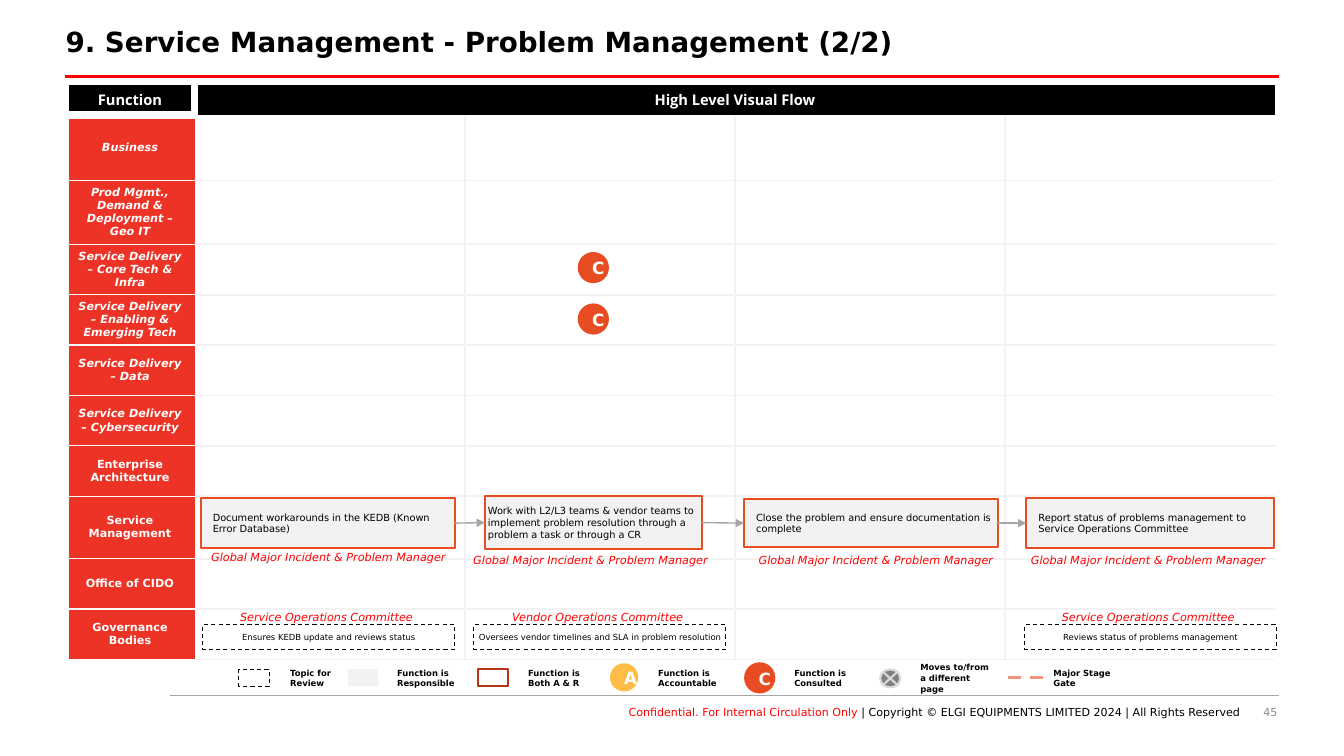
from lxml.etree import SubElement
from pptx import Presentation
from pptx.dml.color import RGBColor
from pptx.enum.dml import MSO_LINE
from pptx.enum.shapes import MSO_CONNECTOR, MSO_SHAPE
from pptx.enum.text import MSO_ANCHOR, PP_ALIGN
from pptx.oxml import parse_xml
from pptx.oxml.ns import nsdecls, qn
from pptx.util import Inches, Pt

BLACK = RGBColor(0, 0, 0)
WHITE = RGBColor(255, 255, 255)
RED = RGBColor(255, 0, 0)
LANE = RGBColor(0xED, 0x33, 0x26)
ORANGE = RGBColor(0xE8, 0x4C, 0x22)
RUST = RGBColor(0xB5, 0x35, 0x13)
SALMON = RGBColor(0xF1, 0x94, 0x7A)
AMBER = RGBColor(0xFF, 0xBD, 0x47)
PALE = RGBColor(0xF2, 0xF2, 0xF2)
SILVER = RGBColor(0xD9, 0xD9, 0xD9)
GREY = RGBColor(0xA6, 0xA6, 0xA6)
MID = RGBColor(0x8C, 0x8C, 0x8C)
DARK = RGBColor(0x80, 0x80, 0x80)
LEFT, CENTER, RIGHT = PP_ALIGN.LEFT, PP_ALIGN.CENTER, PP_ALIGN.RIGHT
RECT, OVAL = MSO_SHAPE.RECTANGLE, MSO_SHAPE.OVAL

LANES = [
    ("Business", 0.65), ("Prod Mgmt., Demand & Deployment – Geo IT", 0.62),
    ("Service Delivery – Core Tech & Infra", 0.5),
    ("Service Delivery – Enabling & Emerging Tech", 0.5),
    ("Service Delivery – Data", 0.5), ("Service Delivery – Cybersecurity", 0.5),
    ("Enterprise Architecture", 0.5), ("Service Management", 0.62),
    ("Office of CIDO", 0.5), ("Governance Bodies", 0.5),
]
STEPS = [
    (1.99, 4.94, 2.52, 0.5, 0.12, "Document workarounds in the KEDB (Known Error Database)"),
    (4.81, 4.92, 2.15, 0.53, 0.03, "Work with L2/L3 teams & vendor teams to implement problem "
     "resolution through a problem a task or through a CR"),
    (7.38, 4.95, 2.52, 0.48, 0.12, "Close the problem and ensure documentation is complete"),
    (10.18, 4.94, 2.46, 0.5, 0.12,
     "Report status of problems management to Service Operations Committee"),
]
OWNERS = [(3.26, 5.41), (5.86, 5.44), (8.69, 5.44), (11.39, 5.44)]
REVIEWS = [
    (2.01, "Service Operations Committee", "Ensures KEDB update and reviews status"),
    (4.7, "Vendor Operations Committee",
     "Oversees vendor timelines and SLA in problem resolution"),
    (10.16, "Service Operations Committee", "Reviews status of problems management"),
]
KEYS = [
    (2.78, "Topic for\nReview"), (3.84, "Function is Responsible"),
    (5.14, "Function is Both A & R"), (6.43, "Function is Accountable"),
    (7.78, "Function is Consulted"), (9.03, "Moves to/from a different page"),
    (10.35, "Major Stage Gate"),
]


class Board:
    """Holds the style and the current slide, and draws each kind of element."""

    font = "DejaVu Sans"

    def __init__(self, slide):
        self.slide = slide
        self.shapes = slide.shapes

    def style(self, run, size, color=BLACK, bold=False, italic=False, font=None):
        """Format one run."""
        face = run.font
        face.name, face.size = font or self.font, Pt(size)
        face.bold, face.italic = bold, italic
        face.color.rgb = color

    def put(self, frame, text, size, color=BLACK, align=LEFT, inset=(0, 0, 0, 0),
            anchor=MSO_ANCHOR.MIDDLE, space=1.0, **look):
        """Fill a text frame and format it."""
        frame.text = text
        frame.word_wrap = True
        frame.vertical_anchor = anchor
        frame.margin_left, frame.margin_top, frame.margin_right, frame.margin_bottom = map(
            Inches, inset)
        for para in frame.paragraphs:
            para.alignment, para.line_spacing = align, space
            for run in para.runs:
                self.style(run, size, color, **look)

    def title(self, text, *box):
        """Move and format the title placeholder."""
        head = self.shapes.title
        head.left, head.top, head.width, head.height = map(Inches, box)
        self.put(head.text_frame, text, 19.8, inset=(0, 0.05, 0.1, 0.05),
                 anchor=MSO_ANCHOR.TOP, space=0.9, bold=True)

    def label(self, box, text, size, color=BLACK, **look):
        """Add a text box."""
        item = self.shapes.add_textbox(*map(Inches, box))
        self.put(item.text_frame, text, size, color, **look)
        return item

    def shape(self, kind, box, fill=None, edge=None, width=1.5, dash=False):
        """Add a preset shape."""
        item = self.shapes.add_shape(kind, *map(Inches, box))
        item.shadow.inherit = False
        if fill is None:
            item.fill.background()
        else:
            item.fill.solid()
            item.fill.fore_color.rgb = fill
        if edge is None:
            item.line.fill.background()
        else:
            item.line.color.rgb, item.line.width = edge, Pt(width)
            if dash:
                item.line.dash_style = MSO_LINE.DASH
        return item

    def badge(self, x, y, size, text, fill):
        """Add a round letter badge."""
        item = self.shape(OVAL, (x, y, size, size), fill)
        self.put(item.text_frame, text, 12, WHITE, CENTER, (0.1,) * 4,
                 space=1.06, bold=True)

    def line(self, x, y, end, color, width):
        """Add a level line."""
        item = self.shapes.add_connector(
            MSO_CONNECTOR.STRAIGHT, Inches(x), Inches(y), Inches(end), Inches(y))
        item.line.color.rgb, item.line.width = color, Pt(width)
        SubElement(item._element.spPr, qn("a:effectLst"))
        return item

    def arrow(self, start, stop):
        """Join two boxes with an arrow."""
        item = self.line(0, 0, 1, GREY, 1)
        item.begin_connect(start, 3)
        item.end_connect(stop, 1)
        SubElement(item._element.spPr.find(qn("a:ln")), qn("a:tailEnd"), type="triangle")

    def cell(self, cell, fill=None, **edges):
        """Set the fill and the four borders of a cell."""
        if fill is None:
            cell.fill.background()
        else:
            cell.fill.solid()
            cell.fill.fore_color.rgb = fill
        props = cell._tc.get_or_add_tcPr()
        for spot, side in enumerate("LRTB"):
            color, width = edges.get(side) or (None, 0)
            paint = (f'<a:solidFill><a:srgbClr val="{color}"/></a:solidFill>'
                     if color else "<a:noFill/>")
            props.insert(spot, parse_xml(
                f'<a:ln{side} {nsdecls("a")} w="{Pt(width)}">{paint}</a:ln{side}>'))

    def grid(self, x, y):
        """Add the table of lanes."""
        sizes = [0.3] + [high for _, high in LANES]
        frame = self.shapes.add_table(len(sizes), 5, Inches(x), Inches(y),
                                      Inches(12), Inches(sum(sizes)))
        table = frame.table
        table.first_row = table.horz_banding = False
        for col, wide in zip(table.columns, [1.28] + [2.68] * 4):
            col.width = Inches(wide)
        for row, high in zip(table.rows, sizes):
            row.height = Inches(high)
        thick, thin, rule = (WHITE, 6), (WHITE, 1), (PALE, 1.5)
        table.cell(0, 1).merge(table.cell(0, 4))
        for n, text in enumerate(["Function", "High Level Visual Flow"]):
            cell = table.cell(0, n)
            self.cell(cell, BLACK, L=thick, T=thin, R=None if n else thick,
                      B=None if n else thick)
            self.head(cell, text, 10.5, font="Open Sans")
        for r, (text, _) in enumerate(LANES, 1):
            cell = table.cell(r, 0)
            self.cell(cell, LANE, L=thick, T=thick if r == 1 else thin, B=thin)
            self.head(cell, text, 8, italic=r < 7)
            for c in range(1, 5):
                self.cell(table.cell(r, c), L=rule if c > 1 else None,
                          R=rule if c < 4 else None, T=rule if r > 1 else None, B=rule)

    def head(self, cell, text, size, **look):
        """Put a white bold heading in a cell."""
        self.put(cell.text_frame, text, size, WHITE, CENTER, bold=True, **look)
        cell.vertical_anchor = MSO_ANCHOR.MIDDLE

    def note(self, mid, y, text):
        """Add a red italic name centred on a point."""
        self.label((mid - 1.4, y, 2.8, 0.24), text, 8, RED, align=CENTER,
                   inset=(0.1, 0.05, 0.1, 0.05), anchor=MSO_ANCHOR.TOP, italic=True)

    def legend(self):
        """Add the row of keys."""
        y = 6.64
        self.shape(RECT, (2.37, y, 0.3, 0.17), edge=BLACK, width=0.75, dash=True)
        self.shape(RECT, (3.45, y, 0.3, 0.17), PALE)
        self.shape(RECT, (4.74, y, 0.3, 0.17), edge=RUST)
        self.badge(6.05, 6.58, 0.28, "A", AMBER)
        self.badge(7.38, 6.57, 0.31, "C", ORANGE)
        self.shape(MSO_SHAPE.FLOWCHART_SUMMING_JUNCTION, (8.73, y, 0.2, 0.18), DARK, SILVER)
        self.line(10, 6.72, 10.35, SALMON, 2.25).line.dash_style = MSO_LINE.DASH
        for x, text in KEYS:
            self.label((x, 6.56, 0.9, 0.33), text, 6, inset=(0.1,) * 4,
                       space=1.06, bold=True)


def main():
    """Build the slide and save it."""
    deck = Presentation()
    deck.slide_width, deck.slide_height = Inches(13.33), Inches(7.5)
    board = Board(deck.slides.add_slide(deck.slide_layouts[5]))
    board.title("9. Service Management - Problem Management (2/2)", 0.65, 0.23, 12.01, 0.41)
    board.line(0.64, 0.76, 12.69, RED, 2.25)
    board.line(1.69, 6.9, 12.69, GREY, 0.5)
    top = MSO_ANCHOR.TOP
    board.label((9.67, 7, 3, 0.2), "45", 7.9, MID, align=RIGHT, anchor=top)
    foot = board.label((2.46, 7, 9.84, 0.2), "Conﬁdential. For Internal Circulation Only ",
                       7.9, RED, align=RIGHT, anchor=top)
    run = foot.text_frame.paragraphs[0].add_run()
    run.text = "| Copyright © ELGI EQUIPMENTS LIMITED 2024 | All Rights Reserved"
    board.style(run, 7.9)
    board.grid(0.65, 0.84)
    boxes = []
    for *box, pad, text in STEPS:
        step = board.shape(RECT, box, PALE, ORANGE)
        board.put(step.text_frame, text, 7, inset=(pad, 0, 0, 0))
        boxes.append(step)
    for start, stop in zip(boxes, boxes[1:]):
        board.arrow(start, stop)
    for mid, y in OWNERS:
        board.note(mid, y, "Global Major Incident & Problem Manager")
    for x, group, text in REVIEWS:
        topic = board.shape(RECT, (x, 6.2, 2.5, 0.24), WHITE, BLACK, 0.75, True)
        board.put(topic.text_frame, text, 6, align=CENTER, inset=(0.05, 0, 0.05, 0),
                  space=1.06)
        board.note(x + 1.23, 6.01, group)
    for y in (2.5, 3.01):
        board.badge(5.73, y, 0.31, "C", ORANGE)
    board.legend()
    deck.save("out.pptx")


if __name__ == "__main__":
    main()
